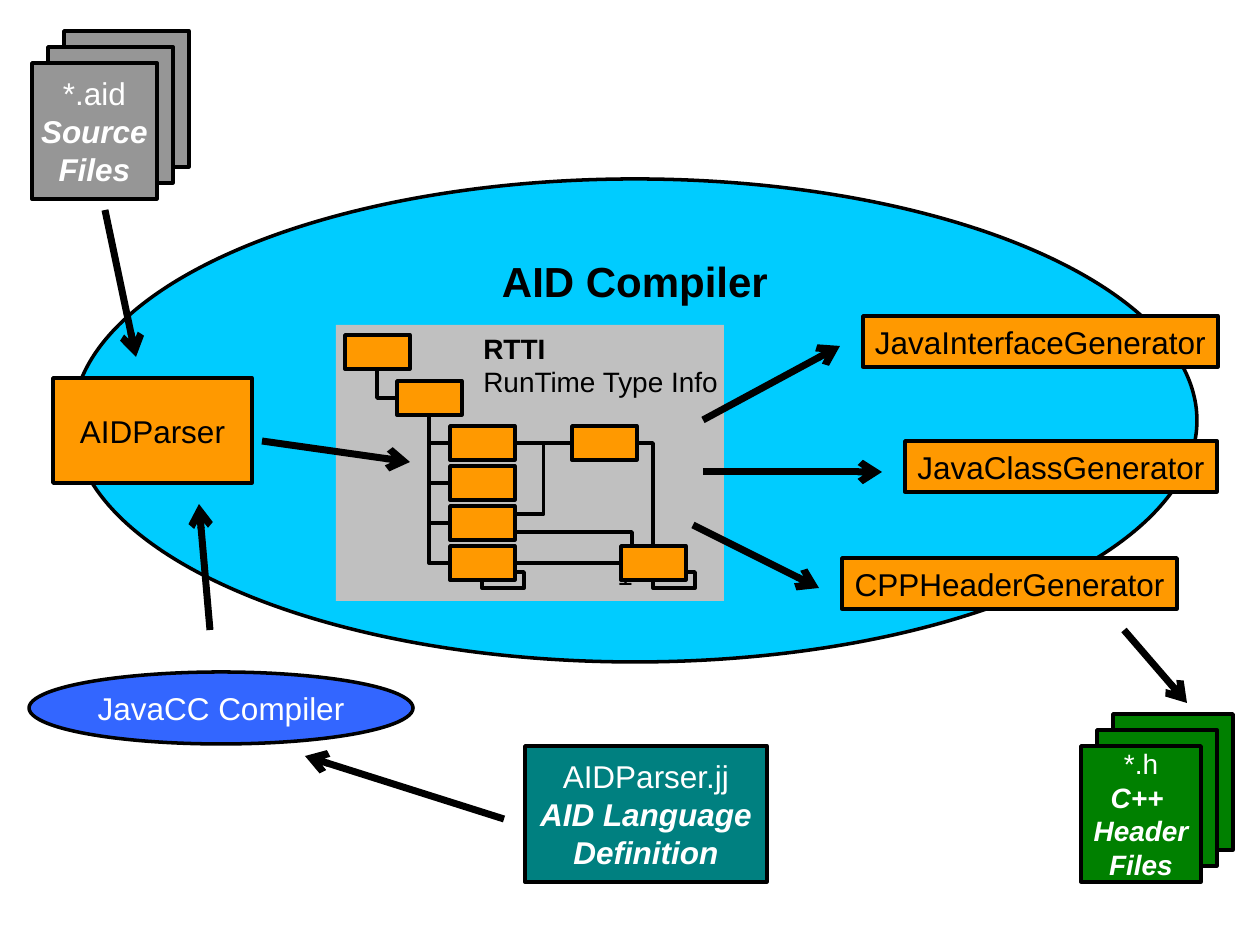
from lxml.etree import SubElement
from pptx import Presentation
from pptx.dml.color import RGBColor
from pptx.enum.shapes import MSO_CONNECTOR, MSO_SHAPE
from pptx.enum.text import MSO_ANCHOR, PP_ALIGN
from pptx.oxml.ns import qn
from pptx.util import Emu, Pt

EMU_PER_PX = 914400 / 126
FONT = "Arial"
BLACK, WHITE = "000000", "FFFFFF"
ORANGE, SKY, BLUE, TEAL = "FF9900", "00CCFF", "3366FF", "008080"
GREY, SILVER, GREEN = "969696", "C0C0C0", "008000"


def px(length):
    return Emu(round(length * EMU_PER_PX))


def color(hex_value):
    return RGBColor.from_string(hex_value)


def write(shape, lines, size, text_color, align=PP_ALIGN.CENTER,
          anchor=MSO_ANCHOR.MIDDLE, wrap=False):
    """Each line is (text, bold, italic) and becomes one paragraph."""
    frame = shape.text_frame
    frame.word_wrap = wrap
    frame.vertical_anchor = anchor
    for index, (text, bold, italic) in enumerate(lines):
        paragraph = frame.add_paragraph() if index else frame.paragraphs[0]
        paragraph.text = text
        paragraph.alignment = align
        font = paragraph.font
        font.name, font.size = FONT, Pt(size)
        font.bold, font.italic = bold, italic
        font.color.rgb = color(text_color)


def add_block(slide, box, fill, kind=MSO_SHAPE.RECTANGLE, outlined=True):
    shape = slide.shapes.add_shape(kind, *map(px, box))
    shape.shadow.inherit = False
    shape.fill.solid()
    shape.fill.fore_color.rgb = color(fill)
    if outlined:
        shape.line.color.rgb = color(BLACK)
        shape.line.width = Pt(2)
    else:
        shape.line.fill.background()
    return shape


def add_line(slide, start, end, width=2, kind=MSO_CONNECTOR.STRAIGHT):
    line = slide.shapes.add_connector(kind, *map(px, (*start, *end)))
    line.line.color.rgb = color(BLACK)
    line.line.width = Pt(width)
    SubElement(line._element.spPr, qn("a:effectLst"))
    return line


def add_arrow(slide, start, end):
    arrow = add_line(slide, start, end, width=4)
    SubElement(arrow.line._get_or_add_ln(), qn("a:tailEnd"), type="arrow")


def add_elbow(slide, start, end, preset="bentConnector2", adjustments=()):
    """Leaves start horizontally; bentConnector2 reaches end vertically."""
    elbow = add_line(slide, start, end, kind=MSO_CONNECTOR.ELBOW)
    geometry = elbow._element.spPr.find(qn("a:prstGeom"))
    geometry.set("prst", preset)
    guides = geometry.find(qn("a:avLst"))
    for number, value in enumerate(adjustments, start=1):
        SubElement(guides, qn("a:gd"), name=f"adj{number}", fmla=f"val {value}")


def add_file_stack(slide, box, fill, lines, size):
    """Three sheets, the front one at the lower left of the box."""
    left, top, width, height = box
    step = 16
    for depth in (2, 1, 0):
        sheet = add_block(slide, (left + depth * step, top + (2 - depth) * step,
                                  width - 2 * step, height - 2 * step), fill)
    write(sheet, lines, size, WHITE)


def add_type_info(slide, box):
    """Grey panel with the type tree."""
    left, top = box[:2]
    node_width, node_height = 65, 34
    mid_x, mid_y = node_width // 2, node_height // 2
    add_block(slide, box, SILVER, outlined=False)

    root, parent = (left + 9, top + 10), (left + 61, top + 56)
    rows = [(left + 114, top + 101 + 40 * row) for row in range(4)]
    peer, target = (left + 236, rows[0][1]), (left + 285, rows[3][1])

    def west(node):
        return node[0], node[1] + mid_y

    def east(node, shift=0):
        return node[0] + node_width, node[1] + mid_y + shift

    def north(node, shift=0):
        return node[0] + mid_x + shift, node[1]

    def south(node):
        return node[0] + mid_x, node[1] + node_height

    # Tree branches
    add_elbow(slide, west(parent), south(root))
    for row in rows:
        add_elbow(slide, west(row), south(parent))

    # Cross references and self references
    add_line(slide, east(rows[0]), west(peer))
    add_elbow(slide, east(rows[2], -9), west(peer), "bentConnector3", (50400,))
    add_elbow(slide, east(peer), north(target))
    add_line(slide, east(rows[3]), west(target))
    add_elbow(slide, east(rows[2], 9), north(target, -21))
    for node in (rows[3], target):
        add_elbow(slide, east(node, 9), south(node), "bentConnector4",
                  (-27800, 202900))

    # Cardinality, partly under its node
    label = slide.shapes.add_textbox(*map(px, (left + 269, top + 226, 40, 47)))
    write(label, [("1", False, False)], 16, BLACK, PP_ALIGN.LEFT, MSO_ANCHOR.TOP)

    for node in (root, parent, *rows, peer, target):
        add_block(slide, (*node, node_width, node_height), ORANGE)

    caption = slide.shapes.add_textbox(*map(px, (left + 135, top, 263, 81)))
    write(caption, [("RTTI", True, False), ("RunTime Type Info", False, False)],
          16, BLACK, PP_ALIGN.LEFT, MSO_ANCHOR.TOP, wrap=True)


def add_compiler(slide, box):
    """Large ellipse with its name at the top."""
    ellipse = add_block(slide, box, SKY, MSO_SHAPE.OVAL)
    write(ellipse, [("AID Compiler", True, False)], 24, BLACK,
          anchor=MSO_ANCHOR.TOP)


def add_parser_inputs(slide):
    """Language definition, parser compiler and parser."""
    definition = add_block(slide, (525, 746, 242, 136), TEAL)
    write(definition, [("AIDParser.jj", False, False),
                       ("AID Language", True, True),
                       ("Definition", True, True)], 18, WHITE)
    compiler = add_block(slide, (29, 672, 384, 72), BLUE, MSO_SHAPE.OVAL)
    write(compiler, [("JavaCC Compiler", False, False)], 18, WHITE)
    parser = add_block(slide, (53, 378, 199, 105), ORANGE)
    write(parser, [("AIDParser", False, False)], 18, BLACK)


def add_generators(slide):
    for name, left, top, width in (("CPPHeaderGenerator", 842, 558, 335),
                                   ("JavaInterfaceGenerator", 863, 316, 355),
                                   ("JavaClassGenerator", 905, 441, 312)):
        generator = add_block(slide, (left, top, width, 51), ORANGE)
        write(generator, [(name, False, False)], 18, BLACK)


def add_flow(slide):
    for start, end in (((703, 472), (882, 472)),    # type info to class
                       ((693, 525), (819, 588)),    # type info to header
                       ((1124, 630), (1187, 703)),  # header to files
                       ((105, 210), (136, 357)),    # sources to parser
                       ((703, 420), (840, 346)),    # type info to interface
                       ((504, 819), (305, 756)),    # definition to compiler
                       ((210, 630), (199, 504)),    # compiler to parser
                       ((262, 441), (410, 462))):   # parser to type info
        add_arrow(slide, start, end)


def main():
    presentation = Presentation()
    presentation.slide_width, presentation.slide_height = px(1260), px(945)
    slide = presentation.slides.add_slide(presentation.slide_layouts[6])

    add_compiler(slide, (73, 179, 1124, 483))
    add_parser_inputs(slide)
    add_type_info(slide, (336, 325, 388, 276))
    add_file_stack(slide, (32, 31, 157, 168), GREY,
                   [("*.aid", False, False), ("Source", True, True),
                    ("Files", True, True)], 18)
    add_generators(slide)
    add_file_stack(slide, (1081, 714, 152, 168), GREEN,
                   [("*.h", False, False), ("C++ ", True, True),
                    ("Header", True, True), ("Files", True, True)], 16)
    add_flow(slide)
    presentation.save("out.pptx")


if __name__ == "__main__":
    main()
